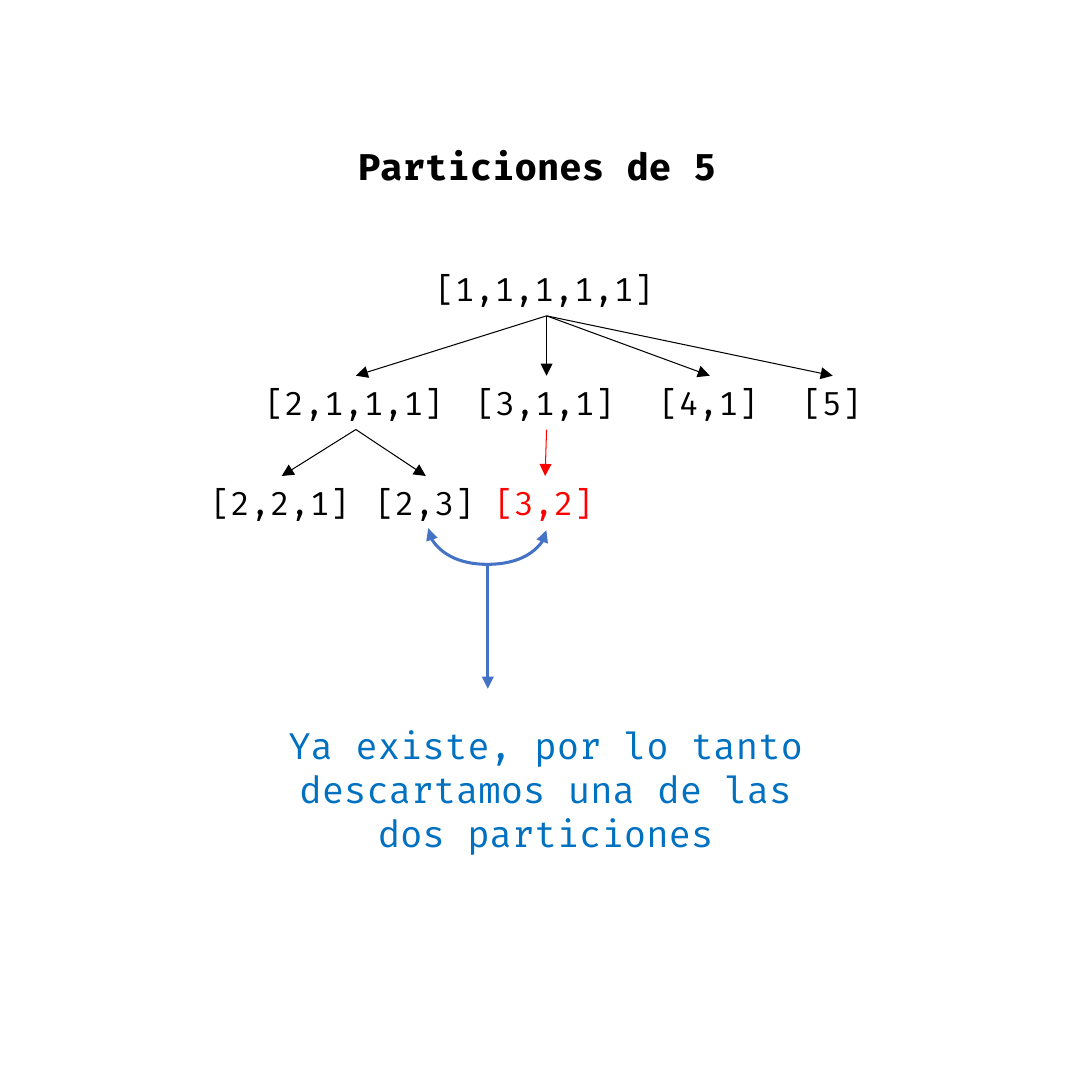
"""Builds a slide with the tree of partitions of 5."""
from lxml.etree import SubElement
from pptx import Presentation
from pptx.dml.color import RGBColor
from pptx.enum.shapes import MSO_CONNECTOR as CONN
from pptx.enum.text import MSO_ANCHOR, MSO_AUTO_SIZE as AUTO, PP_ALIGN
from pptx.oxml.ns import qn
from pptx.util import Pt

BLACK, RED, BLUE, TEXT_BLUE = "000000", "FF0000", "4472C4", "0070C0"


def write(sp, text, size, color, align, wrap=False, bold=False):
    tf = sp.text_frame
    tf.text = text
    tf.word_wrap = wrap
    tf.auto_size = AUTO.SHAPE_TO_FIT_TEXT
    tf.vertical_anchor = MSO_ANCHOR.TOP
    p = tf.paragraphs[0]
    p.alignment = align
    p.font.name = "Fira Code"
    p.font.size = Pt(size)
    p.font.bold = bold
    p.font.color.rgb = RGBColor.from_string(color)


def arrow(kind, x1, y1, x2, y2, color, width, ends=("tailEnd",)):
    c = s.shapes.add_connector(kind, Pt(x1), Pt(y1), Pt(x2), Pt(y2))
    c.line.color.rgb = RGBColor.from_string(color)
    c.line.width = Pt(width)
    for end in ends:
        SubElement(c.line._get_or_add_ln(), qn("a:" + end), type="triangle")
    SubElement(c._element.spPr, qn("a:effectLst"))
    return c


prs = Presentation()
prs.slide_width = prs.slide_height = Pt(540)
s = prs.slides.add_slide(prs.slide_layouts[5])

title = s.shapes.title
title.left, title.top, title.width, title.height = Pt(168.5), Pt(67.7), Pt(194.4), Pt(29)
write(title, "Particiones de 5", 18, BLACK, PP_ALIGN.CENTER, bold=True)

rows = [
    (129.6, [("[1,1,1,1,1]", 270.3, BLACK)]),
    (185.8, [("[2,1,1,1]", 176, BLACK), ("[3,1,1]", 270.3, BLACK),
             ("[4,1]", 351, BLACK), ("[5]", 411.8, BLACK)]),
    (235.4, [("[2,2,1]", 139.3, BLACK), ("[2,3]", 210.6, BLACK),
             ("[3,2]", 269.6, RED)]),
]
nodes = {}
for top, row in rows:
    for text, center, color in row:
        width = 10 * len(text) + 14.4
        sp = s.shapes.add_textbox(Pt(center - width / 2), Pt(top), Pt(width), Pt(26.6))
        write(sp, text, 16, color, PP_ALIGN.LEFT)
        nodes[text] = sp

children = {
    "[1,1,1,1,1]": ["[2,1,1,1]", "[3,1,1]", "[4,1]", "[5]"],
    "[2,1,1,1]": ["[2,2,1]", "[2,3]"],
    "[3,1,1]": ["[3,2]"],
}
for parent, kids in children.items():
    for kid in kids:
        color = RED if kid == "[3,2]" else BLACK
        c = arrow(CONN.STRAIGHT, 0, 0, 0, 0, color, 0.5)
        c.begin_connect(nodes[parent], 2)
        c.end_connect(nodes[kid], 0)

note = s.shapes.add_textbox(Pt(134.6), Pt(354.2), Pt(270.7), Pt(72.7))
write(note, "Ya existe, por lo tanto descartamos una de las dos particiones",
      18, TEXT_BLUE, PP_ALIGN.CENTER, wrap=True)

curve = arrow(CONN.CURVE, 241.5, 232.5, 240.5, 290.9, BLUE, 1.5, ("headEnd", "tailEnd"))
spPr = curve._element.spPr
spPr.find(qn("a:xfrm")).set("rot", str(270 * 60000))
SubElement(spPr.find(qn("a:prstGeom")).find(qn("a:avLst")), qn("a:gd"),
           name="adj1", fmla="val 1800000")
arrow(CONN.STRAIGHT, 241.2, 279.4, 241.2, 340.6, BLUE, 1.5)

prs.save("out.pptx")
